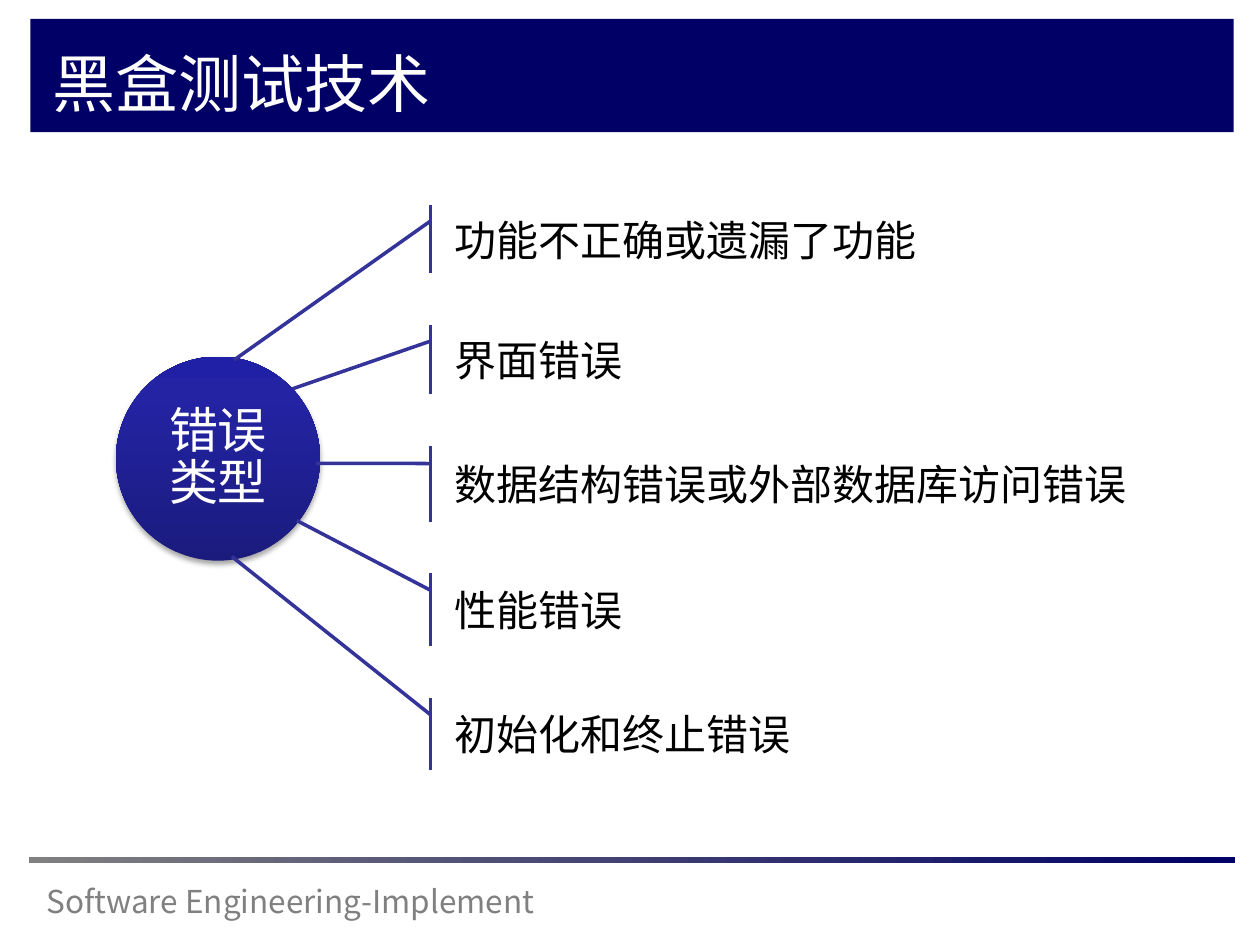
from copy import deepcopy
from lxml.etree import SubElement
from pptx import Presentation
from pptx.dml.color import RGBColor
from pptx.enum.shapes import MSO_SHAPE
from pptx.enum.text import MSO_ANCHOR, PP_ALIGN
from pptx.oxml.ns import qn
from pptx.util import Inches, Pt

TITLE = "黑盒测试技术"
HUB = "错误类型"
FOOTER = "Software Engineering-Implement"
ERRORS = [
    ("功能不正确或遗漏了功能", 1.63, 0.54, 2.274, -0.282),
    ("界面错误", 2.58, 0.55, 0.921, -0.203),
    ("数据结构错误或外部数据库访问错误", 3.54, 0.6, 0.229, -0.171),
    ("性能错误", 4.55, 0.58, -0.723, -0.197),
    ("初始化和终止错误", 5.54, 0.57, -1.97, -0.285),
]
FONT = "Noto Sans CJK SC"
COLORS = {
    "navy": "000066", "gray": "808080", "white": "FFFFFF", "black": "000000",
    "line": "333399", "hub_dark": "1B1B7E", "hub_mid": "2323A3", "hub_light": "2020A6",
}


def rgb(name):
    return RGBColor.from_string(COLORS[name])


def write(shape, text, size, color, align=PP_ALIGN.LEFT, anchor=MSO_ANCHOR.MIDDLE):
    tf = shape.text_frame
    tf.word_wrap = True
    tf.vertical_anchor = anchor
    p = tf.paragraphs[0]
    p.text = text
    p.alignment = align
    p.font.size = Pt(size)
    p.font.name = FONT
    p.font.color.rgb = rgb(color)
    latin = p.font._element.find(qn("a:latin"))
    ea = deepcopy(latin)
    ea.tag = qn("a:ea")
    latin.addnext(ea)
    return tf


def add_shape(kind, *box):
    sp = s.shapes.add_shape(kind, *map(Inches, box))
    sp.shadow.inherit = False
    sp.line.fill.background()
    return sp


def fill_solid(sp, color):
    sp.fill.solid()
    sp.fill.fore_color.rgb = rgb(color)


def fill_gradient(sp, stops, angle):
    sp.fill.gradient()
    sp.fill.gradient_angle = angle
    gs_list = sp._element.spPr.find(qn("a:gradFill")).find(qn("a:gsLst"))
    while len(gs_list) < len(stops):
        gs_list.append(deepcopy(gs_list[-1]))
    for stop, (position, color) in zip(sp.fill.gradient_stops, stops):
        stop.position = position
        stop.color.rgb = rgb(color)


def add_shadow(sp):
    effects = sp._element.spPr.find(qn("a:effectLst"))
    shadow = SubElement(effects, qn("a:outerShdw"), blurRad=str(Pt(3.1)),
                        dist=str(Pt(1.8)), dir="5400000", rotWithShape="0")
    color = SubElement(shadow, qn("a:srgbClr"), val=COLORS["black"])
    SubElement(color, qn("a:alpha"), val="35000")


prs = Presentation()
prs.slide_width, prs.slide_height = Inches(10), Inches(7.5)
s = prs.slides.add_slide(prs.slide_layouts[5])

banner = add_shape(MSO_SHAPE.RECTANGLE, 0.24, 0.15, 9.55, 0.9)
fill_solid(banner, "navy")
title = s.shapes.title
banner._element.addnext(title._element)
title.left, title.top, title.width, title.height = map(Inches, (0.32, 0.26, 8.81, 0.74))
write(title, TITLE, 36, "white", anchor=MSO_ANCHOR.BOTTOM)

rule = add_shape(MSO_SHAPE.RECTANGLE, 0.23, 6.8, 9.57, 0.05)
fill_gradient(rule, [(0, "gray"), (1, "navy")], 0)
footer = s.shapes.add_textbox(*map(Inches, (0.27, 6.95, 5.17, 0.4)))
write(footer, FOOTER, 18, "gray", anchor=MSO_ANCHOR.BOTTOM)

hub = add_shape(MSO_SHAPE.OVAL, 0.92, 2.83, 1.62, 1.62)
fill_gradient(hub, [(0, "hub_dark"), (0.8, "hub_mid"), (1, "hub_light")], 90)
add_shadow(hub)
tf = write(hub, HUB, 28, "white", PP_ALIGN.CENTER)
tf.margin_left = tf.margin_right = tf.margin_top = tf.margin_bottom = Inches(0.05)
tf.paragraphs[0].line_spacing = 0.9

for text, top, height, end_y, end_x in ERRORS:
    callout = add_shape(MSO_SHAPE.LINE_CALLOUT_1_ACCENT_BAR, 3.51, top, 5.86, height)
    for i, value in enumerate((0.232, -0.016, end_y, end_x)):
        callout.adjustments[i] = value
    fill_solid(callout, "white")
    callout.line.color.rgb = rgb("line")
    callout.line.width = Pt(2)
    write(callout, text, 24, "black", PP_ALIGN.JUSTIFY)

prs.save("out.pptx")
